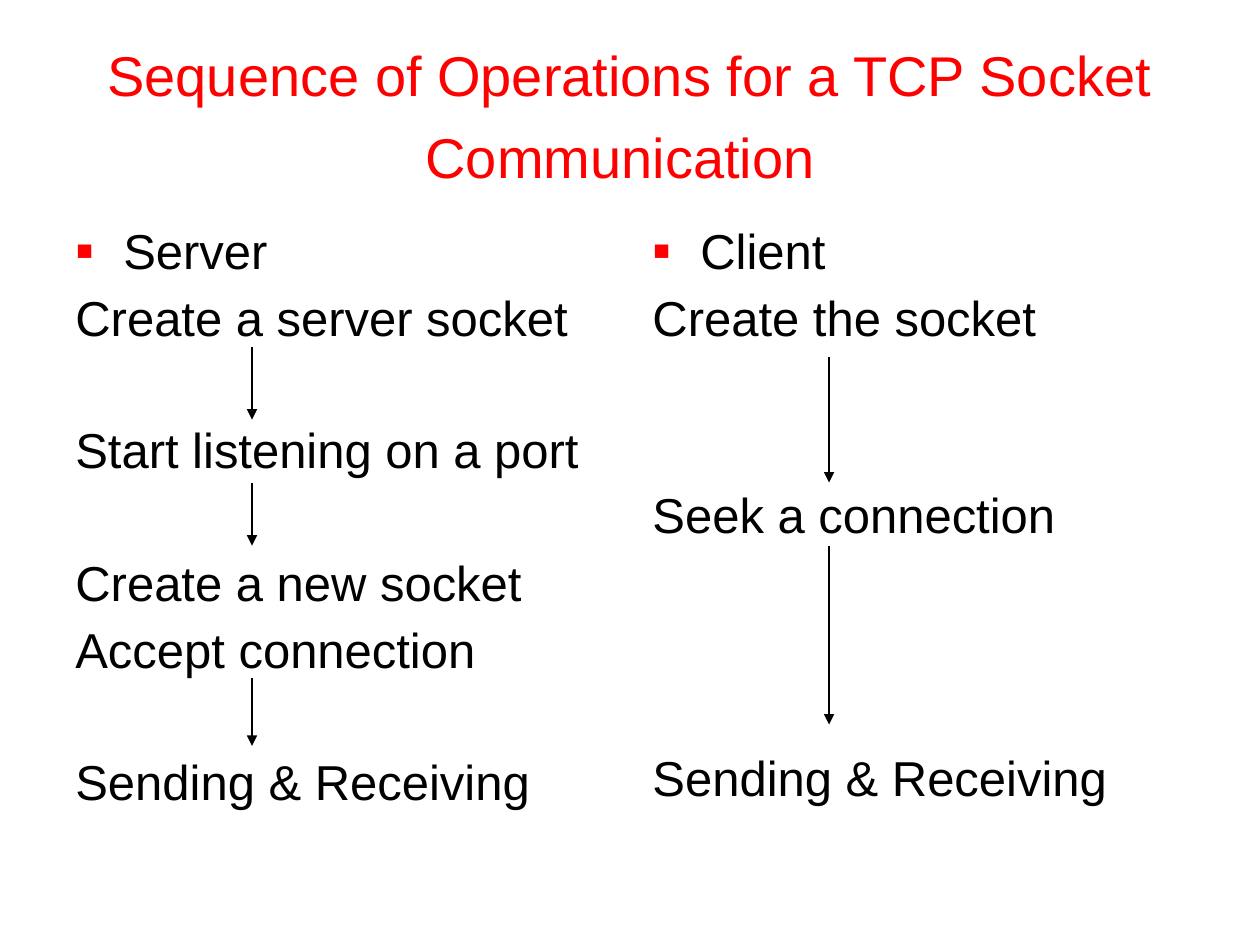
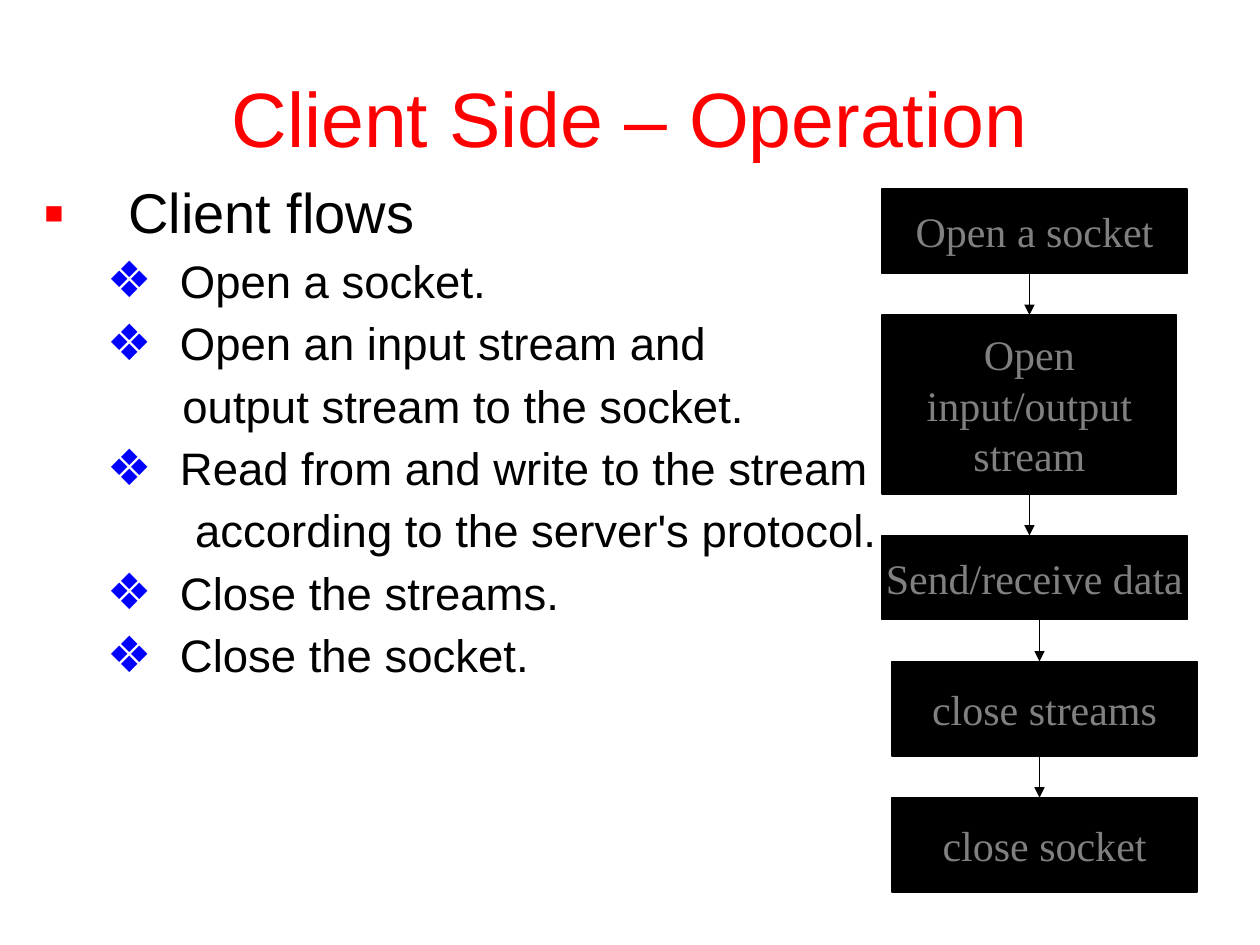
from lxml.etree import SubElement
from pptx import Presentation
from pptx.dml.color import RGBColor
from pptx.enum.shapes import MSO_CONNECTOR, MSO_SHAPE
from pptx.enum.text import MSO_ANCHOR, MSO_AUTO_SIZE, PP_ALIGN
from pptx.oxml.ns import qn
from pptx.util import Inches, Pt

COLORS = {
    "title": "FF0000",
    "text": "000000",
    "square": "FF0000",
    "diamond": "0000FF",
    "box": "000000",
    "box_text": "808080",
    "arrow": "000000",
}
SANS, SERIF = "Arial", "Times New Roman"
ROW_PITCH = 37.2  # points from one row of a column to the next
ROW_GAP = 8.2
TOP, BOTTOM = 0, 2  # connection sites of a rectangle


def rgb(name):
    return RGBColor.from_string(COLORS[name])


def style_font(font, size, color, name=SANS):
    font.size = Pt(size)
    font.name = name
    font.color.rgb = rgb(color)


def add_title(slide, parts):
    """Fill the title from (text, size) parts."""
    title = slide.shapes.title
    title.left, title.top = Inches(0.5), Inches(0.3)
    title.width, title.height = Inches(9), Inches(1.25)
    frame = title.text_frame
    frame.word_wrap = True
    frame.auto_size = MSO_AUTO_SIZE.NONE
    frame.vertical_anchor = MSO_ANCHOR.MIDDLE
    heading = frame.paragraphs[0]
    heading.alignment = PP_ALIGN.CENTER
    for text, size in parts:
        run = heading.add_run()
        run.text = text
        style_font(run.font, size, "title")


def add_body(slide, left, top, width, height):
    frame = slide.shapes.add_textbox(
        Inches(left), Inches(top), Inches(width), Inches(height)).text_frame
    frame.word_wrap = True
    return frame


def add_line(frame, text, size, margin=0, indent=0, space=0, bullet=None):
    """Write the next paragraph; bullet is a (character, colour) pair."""
    first = not frame.text
    line = frame.paragraphs[0] if first else frame.add_paragraph()
    line.text = text
    line.line_spacing = 0.9
    line.space_before = Pt(0 if first else space)
    props = line._p.get_or_add_pPr()
    props.set("marL", str(Inches(margin)))
    props.set("indent", str(Inches(indent)))
    if bullet:
        char, color = bullet
        tint = SubElement(props, qn("a:buClr"))
        SubElement(tint, qn("a:srgbClr"), val=COLORS[color])
        SubElement(props, qn("a:buSzPct"), val="110000")
        SubElement(props, qn("a:buFont"), typeface=SANS)
        SubElement(props, qn("a:buChar"), char=char)
    else:
        SubElement(props, qn("a:buNone"))
    style_font(line.font, size, "text")


def add_arrow(slide, x, start, end, weight):
    """Draw a downward arrow."""
    arrow = slide.shapes.add_connector(
        MSO_CONNECTOR.STRAIGHT, Inches(x), Inches(start), Inches(x), Inches(end))
    arrow.line.color.rgb = rgb("arrow")
    arrow.line.width = Pt(weight)
    SubElement(arrow.line._get_or_add_ln(), qn("a:tailEnd"), type="triangle")
    SubElement(arrow._element.spPr, qn("a:effectLst"))
    return arrow


def add_sequence(slide, left, top, role, steps, arrow_x, arrows):
    """Column of steps, each given as (row, text), with arrows between them."""
    frame = add_body(slide, left, top, 4.42, 4.95)
    add_line(frame, role, 28, 0.38, -0.38, bullet=("▪", "square"))
    previous = 0
    for row, text in steps:
        skipped = row - previous - 1
        add_line(frame, text, 28, space=ROW_GAP + skipped * ROW_PITCH)
        previous = row
    for start, end in arrows:
        add_arrow(slide, left + arrow_x, top + start, top + end, 1)


def add_client_flows(slide, left, top):
    """Bulleted list; continuation lines have a margin and no bullet."""
    frame = add_body(slide, left, top, 9, 5.28)
    add_line(frame, "Client flows", 32, 0.67, -0.67, bullet=("▪", "square"))
    diamond = ("❖", "diamond")
    for text, margin, indent, bullet in [
        ("Open a socket.", 1.08, -0.58, diamond),
        ("Open an input stream and", 1.08, -0.58, diamond),
        ("output stream to the socket.", 1.1, 0, None),
        ("Read from and write to the stream", 1.08, -0.58, diamond),
        ("according to the server's protocol.", 1.2, 0, None),
        ("Close the streams.", 1.08, -0.58, diamond),
        ("Close the socket.", 1.08, -0.58, diamond),
    ]:
        add_line(frame, text, 26, margin, indent, 7.6, bullet)


def add_step_box(slide, left, top, width, height, text):
    box = slide.shapes.add_shape(
        MSO_SHAPE.RECTANGLE, Inches(left), Inches(top), Inches(width), Inches(height))
    box.shadow.inherit = False
    box.fill.solid()
    box.fill.fore_color.rgb = rgb("box")
    box.line.color.rgb = rgb("box")
    box.line.width = Pt(0.75)
    frame = box.text_frame
    frame.word_wrap = False
    frame.vertical_anchor = MSO_ANCHOR.MIDDLE
    frame.text = text
    for line in frame.paragraphs:
        line.alignment = PP_ALIGN.CENTER
        style_font(line.font, 24, "box_text", SERIF)
    return box


def add_flowchart(slide, left, top):
    """Stack of boxes with equal gaps, an arrow in each gap."""
    gap = 0.33
    previous = None
    for text, shift, width, height, arrow_x in [
        ("Open a socket", 0, 2.42, 0.67, None),
        ("Open\ninput/output\nstream", 0, 2.34, 1.42, 1.17),
        ("Send/receive data", 0, 2.42, 0.67, 1.17),
        ("close streams", 0.08, 2.42, 0.75, 1.25),
        ("close socket", 0.08, 2.42, 0.75, 1.25),
    ]:
        box = add_step_box(slide, left + shift, top, width, height, text)
        center = shift + width / 2
        if previous:
            upper, upper_center = previous
            arrow = add_arrow(slide, left + arrow_x, top - gap, top, 0.75)
            if abs(upper_center - arrow_x) < 0.01:
                arrow.begin_connect(upper, BOTTOM)
            if abs(center - arrow_x) < 0.01:
                arrow.end_connect(box, TOP)
        previous = box, center
        top += height + gap


def build_sequence_slide(slide):
    # The wider closing space sets the height of the second title line
    add_title(slide, [
        ("Sequence of Operations for a TCP Socket Communication", 32), (" ", 40)])
    add_sequence(
        slide, 0.5, 1.75, "Server",
        [(1, "Create a server socket"), (3, "Start listening on a port"),
         (5, "Create a new socket"), (6, "Accept connection"),
         (8, "Sending & Receiving")],
        1.5, [(1, 1.58), (2.08, 2.58), (3.63, 4.17)])
    add_sequence(
        slide, 5.08, 1.75, "Client",
        [(1, "Create the socket"), (4, "Seek a connection"),
         (8, "Sending & Receiving")],
        1.5, [(1.08, 2.08), (2.58, 4)])


def build_client_slide(slide):
    add_title(slide, [("Client Side – Operation", 44)])
    add_client_flows(slide, 0.25, 1.42)
    add_flowchart(slide, 7, 1.5)


def main():
    deck = Presentation()
    deck.slide_width, deck.slide_height = Inches(10), Inches(7.5)
    title_only = deck.slide_layouts[5]
    for build in (build_sequence_slide, build_client_slide):
        build(deck.slides.add_slide(title_only))
    deck.save("out.pptx")


if __name__ == "__main__":
    main()
